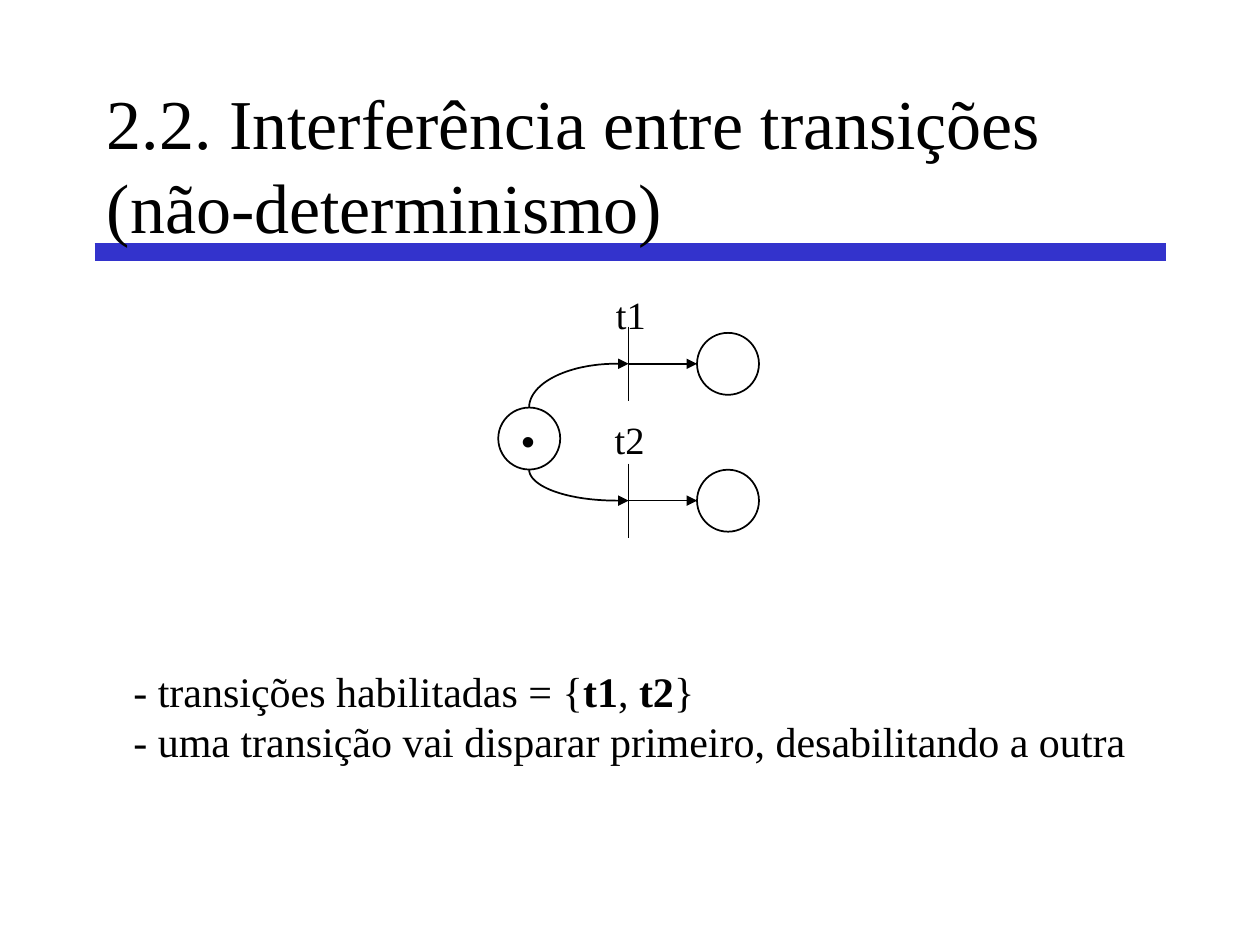
"""Petri net slide on interference between transitions."""
from dataclasses import dataclass
from math import cos, pi, sin

from lxml import etree
from pptx import Presentation
from pptx.dml.color import RGBColor
from pptx.enum.shapes import MSO_CONNECTOR, MSO_SHAPE
from pptx.enum.text import MSO_ANCHOR
from pptx.oxml.ns import qn
from pptx.util import Pt

STRAIGHT = MSO_CONNECTOR.STRAIGHT
OVAL = MSO_SHAPE.OVAL
MIDDLE, TOP = MSO_ANCHOR.MIDDLE, MSO_ANCHOR.TOP
COLORS = {"ink": "000000", "paper": "FFFFFF", "rule": "3333CC"}
SERIF, SANS = "Times New Roman", "Arial"
DIAMETER = 35.4
RADIUS = DIAMETER / 2
START_X, START_Y = 302.4, 250.6
BAR_X, BAR_HALF = 359.2, 21.2
END_X = 416
HEAD = 7.2


@dataclass
class Label:
    paragraphs: list[list[tuple[str, bool]]]
    left: float
    top: float
    width: float
    height: float
    size: float
    font: str = SERIF
    wrap: bool = False
    anchor: MSO_ANCHOR = TOP


@dataclass
class Branch:
    y: float
    direction: int


LABELS = [
    Label([[("2.2. Interferência entre transições (não-determinismo)", False)]],
          54, 48.2, 612, 90, 40, wrap=True, anchor=MIDDLE),
    Label([[("t1", False)]], 344.9, 162.7, 31.7, 33.8, 22),
    Label([[("t2", False)]], 344.2, 234, 31.7, 33.8, 22),
    Label([[("•", False)]], 290.9, 234.7, 23.8, 33.8, 22, SANS),
    Label([[("- transições habilitadas = {", False), ("t1", True), (", ", False),
            ("t2", True), ("}", False)],
           [("- uma transição vai disparar primeiro, desabilitando a outra", False)]],
          69.1, 376.6, 581.8, 64.8, 24),
]
BRANCHES = [Branch(207.9, -1), Branch(286.1, 1)]


def rgb(name: str) -> RGBColor:
    """Return a palette colour."""
    return RGBColor.from_string(COLORS[name])


def style_line(sp, color: str = "ink", width: float = 1, arrow: bool = False) -> None:
    """Set the outline and, if asked, an arrowhead at its end."""
    sp.line.color.rgb = rgb(color)
    sp.line.width = Pt(width)
    if arrow:
        etree.SubElement(sp.line._get_or_add_ln(), qn("a:tailEnd"),
                         type="triangle", w="med", len="med")


def add_line(s, x1: float, y1: float, x2: float, y2: float, **line) -> None:
    """Draw a straight line."""
    sp = s.shapes.add_connector(STRAIGHT, Pt(x1), Pt(y1), Pt(x2), Pt(y2))
    style_line(sp, **line)
    etree.SubElement(sp._element.spPr, qn("a:effectLst"))


def add_place(s, x: float, y: float) -> None:
    """Draw a place of the net around its centre."""
    sp = s.shapes.add_shape(OVAL, Pt(x - RADIUS), Pt(y - RADIUS),
                            Pt(DIAMETER), Pt(DIAMETER))
    sp.shadow.inherit = False
    sp.fill.solid()
    sp.fill.fore_color.rgb = rgb("paper")
    style_line(sp)


def add_branch(s, branch: Branch) -> None:
    """Draw a curved arc, a transition bar, an arrow and the final place."""
    y = branch.y
    start_y = START_Y + branch.direction * RADIUS
    curve_x = BAR_X - HEAD
    steps = 24
    points = [(curve_x - (curve_x - START_X) * cos(i * pi / 2 / steps),
               start_y + (y - start_y) * sin(i * pi / 2 / steps))
              for i in range(1, steps + 1)]
    builder = s.shapes.build_freeform(Pt(START_X), Pt(start_y))
    builder.add_line_segments([(Pt(px), Pt(py)) for px, py in points + [(BAR_X, y)]],
                              close=False)
    sp = builder.convert_to_shape()
    sp.shadow.inherit = False
    sp.fill.background()
    style_line(sp, arrow=True)
    add_line(s, BAR_X, y - BAR_HALF, BAR_X, y + BAR_HALF)
    add_place(s, END_X, y)
    add_line(s, BAR_X, y, END_X - RADIUS, y, arrow=True)


def add_label(s, label: Label) -> None:
    """Write a text box."""
    sp = s.shapes.add_textbox(Pt(label.left), Pt(label.top),
                              Pt(label.width), Pt(label.height))
    tf = sp.text_frame
    tf.word_wrap = label.wrap
    tf.vertical_anchor = label.anchor
    for i, runs in enumerate(label.paragraphs):
        p = tf.paragraphs[0] if i == 0 else tf.add_paragraph()
        for text, bold in runs:
            r = p.add_run()
            r.text = text
            r.font.color.rgb = rgb("ink")
            formats = {"name": label.font, "size": Pt(label.size), "bold": bold}
            for key, value in formats.items():
                setattr(r.font, key, value)


def main() -> None:
    """Build and save the slide."""
    prs = Presentation()
    prs.slide_width, prs.slide_height = Pt(720), Pt(540)
    s = prs.slides.add_slide(prs.slide_layouts[6])
    add_line(s, 54, 144, 666, 144, color="rule", width=10)
    add_place(s, START_X, START_Y)
    for branch in BRANCHES:
        add_branch(s, branch)
    for label in LABELS:
        add_label(s, label)
    prs.save("out.pptx")


if __name__ == "__main__":
    main()
